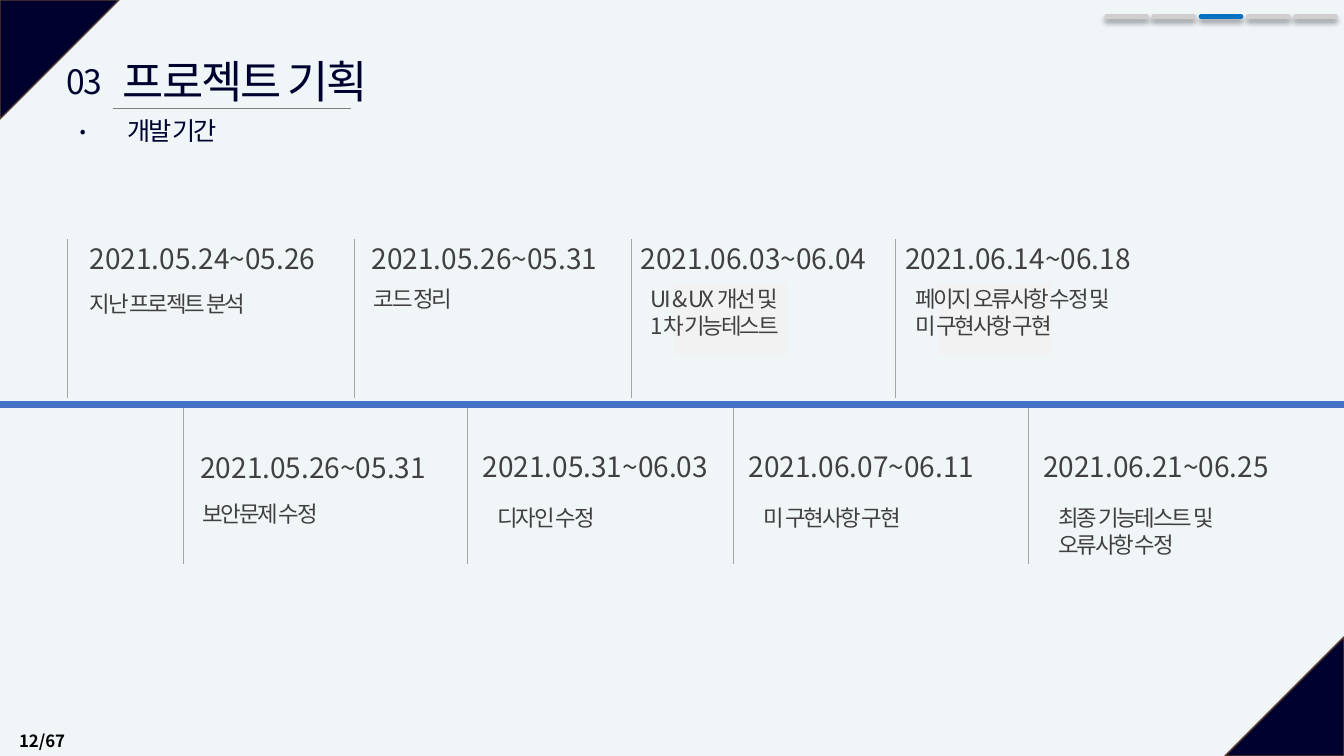
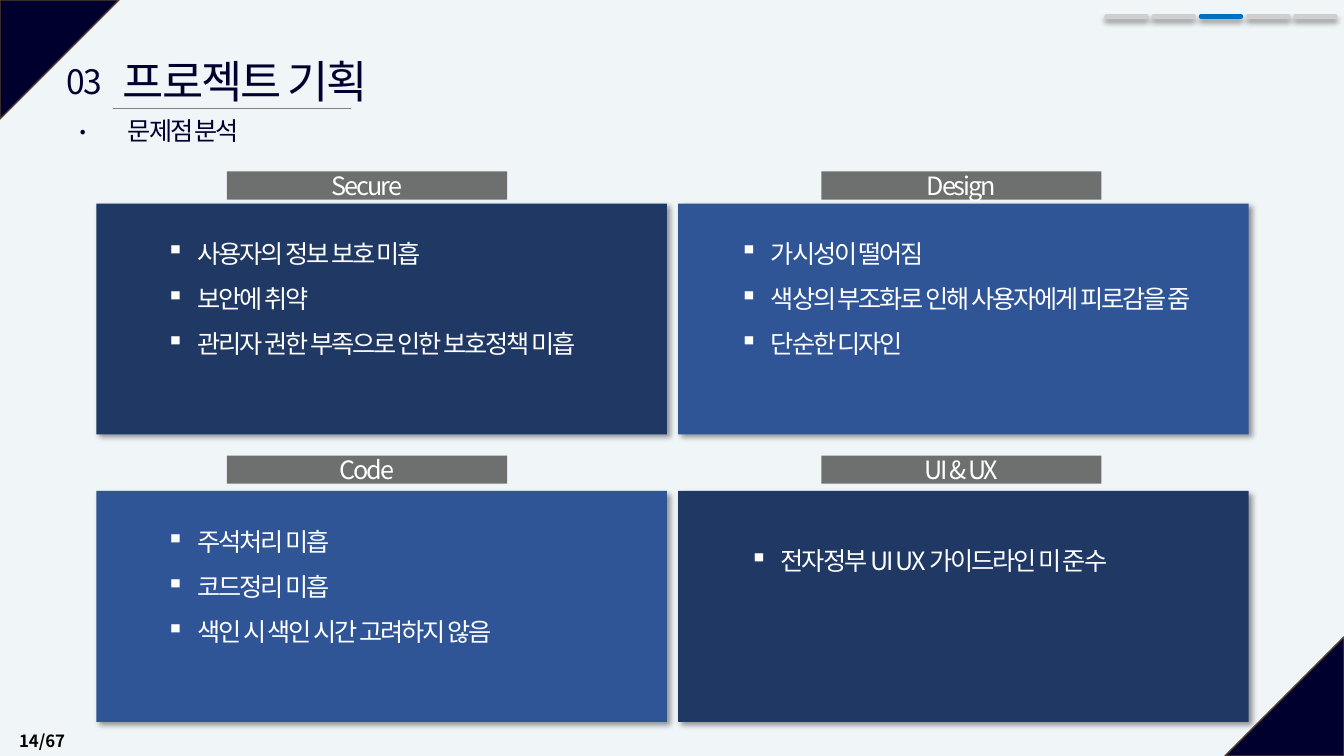
import pptx
import pptx.util
import pptx.dml.color
import pptx.enum.shapes
import pptx.enum.text
import pptx.oxml
import pptx.oxml.ns

Cm = pptx.util.Cm
Pt = pptx.util.Pt
SHAPE = pptx.enum.shapes.MSO_SHAPE
ALIGN = pptx.enum.text.PP_ALIGN
WIDTH, HEIGHT = 33.87, 19.05


def rgb(value):
    return pptx.dml.color.RGBColor.from_string(value)


def sub(parent, tag, **attrs):
    el = pptx.oxml.parse_xml(f"<{tag} {pptx.oxml.ns.nsdecls('a')}/>")
    for key, value in attrs.items():
        el.set(key, str(value))
    parent.append(el)
    return el


class Deck:
    FONT = "Noto Sans CJK KR"
    BACKGROUND = "F0F5F8"
    NAVY = "00002F"
    BROWN = "5B3F33"
    TEXT = "404040"
    WHITE = "FFFFFF"
    TICK = "A5A5A5"
    TIGHT = -1.5

    def __init__(self):
        self.prs = pptx.Presentation()
        self.prs.slide_width, self.prs.slide_height = Cm(WIDTH), Cm(HEIGHT)
        self.s = None

    def new_slide(self, page, subtitle, subtitle_width):
        self.s = self.prs.slides.add_slide(self.prs.slide_layouts[6])
        fill = self.s.background.fill
        fill.solid()
        fill.fore_color.rgb = rgb(self.BACKGROUND)
        self.corner(0, 0, 90)
        self.corner(WIDTH - 3, HEIGHT - 3, 270)
        self.text(0.23, 18.03, 7.62, 1.02, [page], 12, "000000",
                  bold=True, spacing=1.5, grow=False)
        self.line(2.84, 2.74, 8.84, 2.74, "808080", 0.5)
        for x, y, w, h, words, size in (
            (2.49, 1.22, 7.39, 1.63, "프로젝트 기획", 32),
            (1.37, 1.4, 1.47, 1.27, "03.", 24),
            (2.81, 2.79, subtitle_width, 1.02, subtitle, 18),
        ):
            self.text(x, y, w, h, [words], size, self.NAVY,
                      track=self.TIGHT, align=ALIGN.CENTER)

    def corner(self, x, y, rotation):
        sp = self.shape(SHAPE.ISOSCELES_TRIANGLE, x, y, 3, 3, self.NAVY)
        sp.adjustments[0] = 0
        sp.rotation = rotation
        sp.line.color.rgb = rgb(self.BROWN)
        sp.line.width = Pt(1)

    def shape(self, kind, x, y, w, h, color, alpha=None, shadow=False):
        sp = self.s.shapes.add_shape(kind, Cm(x), Cm(y), Cm(w), Cm(h))
        sp.fill.solid()
        sp.fill.fore_color.rgb = rgb(color)
        if alpha:
            clr = sp._element.spPr.find(".//" + pptx.oxml.ns.qn("a:srgbClr"))
            sub(clr, "a:alpha", val=alpha * 1000)
        sp.line.fill.background()
        sp.shadow.inherit = False
        if shadow:
            effects = sp._element.spPr.find(pptx.oxml.ns.qn("a:effectLst"))
            self.cast_shadow(effects, 45)
        return sp

    def cast_shadow(self, effects, angle):
        outer = sub(effects, "a:outerShdw", blurRad=Pt(4), dist=Pt(3),
                    dir=angle * 60000, algn="tl", rotWithShape=0)
        clr = sub(outer, "a:srgbClr", val="000000")
        sub(clr, "a:alpha", val=40000)

    def line(self, x1, y1, x2, y2, color, width, shadow=False, cap=None):
        cx = self.s.shapes.add_connector(
            pptx.enum.shapes.MSO_CONNECTOR.STRAIGHT,
            Cm(x1), Cm(y1), Cm(x2), Cm(y2))
        cx.line.color.rgb = rgb(color)
        cx.line.width = Pt(width)
        spPr = cx._element.spPr
        if cap:
            spPr.find(pptx.oxml.ns.qn("a:ln")).set("cap", cap)
        effects = sub(spPr, "a:effectLst")
        if shadow:
            self.cast_shadow(effects, 90)

    def fill_text(self, tf, lines, size, color, bold=False, track=None,
                  align=ALIGN.LEFT, spacing=None, bullet=None):
        tf.text = "\n".join(lines)
        for p in tf.paragraphs:
            p.alignment = align
            if spacing:
                p.line_spacing = spacing
            if bullet:
                pPr = p._p.get_or_add_pPr()
                pPr.set("marL", str(Cm(0.79)))
                pPr.set("indent", str(-Cm(0.79)))
                sub(pPr, "a:buChar", char=bullet)
            for r in p.runs:
                r.font.size = Pt(size)
                r.font.bold = bold
                r.font.color.rgb = rgb(color)
                r.font.name = self.FONT
                rPr = r._r.get_or_add_rPr()
                sub(rPr, "a:ea", typeface=self.FONT)
                if track:
                    rPr.set("spc", str(int(track * 100)))

    def text(self, x, y, w, h, lines, size, color, grow=True, **style):
        tf = self.s.shapes.add_textbox(Cm(x), Cm(y), Cm(w), Cm(h)).text_frame
        self.fill_text(tf, lines, size, color, **style)
        tf.word_wrap = not grow
        if grow:
            tf.auto_size = pptx.enum.text.MSO_AUTO_SIZE.SHAPE_TO_FIT_TEXT

    def progress(self, current=2):
        for i in range(5):
            x = 27.89 + i * 1.19
            color = "0070C0" if i == current else "D0CECE"
            self.line(x, 0.41, x + 1, 0.41, color, 3.5, shadow=True, cap="rnd")

    def milestone(self, tick, top, bottom, date_at, date, note_at, width, note,
                  panel=False):
        self.line(tick, top, tick, bottom, self.TICK, 0.5)
        self.text(*date_at, 6.32, 1.12, [date], 20, self.TEXT)
        x, y = note_at
        if panel:
            self.shape(SHAPE.RECTANGLE, x + 0.84, y + 0.08, 2.84, 1.78, "F2F2F2")
        self.text(x, y, width, 0.25 + 0.69 * len(note), note, 16, self.TEXT,
                  track=self.TIGHT)

    def card(self, x, y, color, label_at, label, list_at, width, items):
        self.shape(SHAPE.RECTANGLE, x, y, 14.38, 5.82, color, shadow=True)
        self.text(*list_at, width, 0.25 + 1.12 * len(items), items, 18,
                  self.WHITE, track=self.TIGHT, spacing=1.5, bullet="▪")
        sp = self.shape(SHAPE.RECTANGLE, *label_at, 7.06, 0.71, "464545", alpha=76)
        tf = sp.text_frame
        tf.vertical_anchor = pptx.enum.text.MSO_ANCHOR.MIDDLE
        self.fill_text(tf, [label], 18, self.WHITE, track=self.TIGHT,
                       align=ALIGN.CENTER)


def schedule(deck):
    deck.new_slide("12/67", "개발 기간", 3.05)
    above, below = (6.02, 10.03), (10.13, 14.2)
    for tick, span, *rest in (
        (1.7, above, (2.01, 5.97), "2021.05.24~05.26",
         (2.01, 7.19), 4.83, ["지난 프로젝트 분석"]),
        (8.92, above, (9.12, 5.97), "2021.05.26~05.31",
         (9.17, 7.06), 2.67, ["코드 정리"]),
        (15.9, above, (15.9, 5.97), "2021.06.03~06.04",
         (16.15, 7.06), 3.96, ["UI & UX 개선 및", "1차 기능테스트"], True),
        (22.56, above, (22.56, 5.97), "2021.06.14~06.18",
         (22.81, 7.06), 5.94, ["페이지 오류사항 수정 및", "미 구현사항 구현"], True),
        (4.62, below, (4.8, 11.23), "2021.05.26~05.31",
         (4.85, 12.47), 3.71, ["보안문제 수정"]),
        (11.79, below, (11.91, 11.2), "2021.05.31~06.03",
         (12.29, 12.57), 3.18, ["디자인 수정"]),
        (18.49, below, (18.62, 11.2), "2021.06.07~06.11",
         (19, 12.57), 4.32, ["미 구현사항 구현"]),
        (25.91, below, (26.04, 11.2), "2021.06.21~06.25",
         (26.42, 12.57), 4.9, ["최종 기능테스트 및", "오류사항 수정"]),
    ):
        deck.milestone(tick, *span, *rest)
    deck.line(0, 10.19, WIDTH, 10.19, "4472C4", 4.5)
    deck.progress()


def problems(deck):
    deck.new_slide("14/67", "문제점 분석", 3.63)
    left, right, top, bottom = 2.43, 17.09, 5.13, 12.37
    dark, light = "203864", "2F5597"
    for card in (
        (left, top, dark, (5.72, 4.32), "Secure", (3.94, 5.49), 11.58,
         ["사용자의 정보 보호 미흡", "보안에 취약",
          "관리자 권한 부족으로 인한 보호정책 미흡"]),
        (right, top, light, (20.7, 4.32), "Design", (18.39, 5.49), 12.73,
         ["가시성이 떨어짐", "색상의 부조화로 인해 사용자에게 피로감을 줌",
          "단순한 디자인"]),
        (left, bottom, light, (5.72, 11.48), "Code", (3.94, 12.75), 9.27,
         ["주석처리 미흡", "코드정리 미흡", "색인 시 색인 시간 고려하지 않음"]),
        (right, bottom, dark, (20.7, 11.48), "UI & UX", (18.64, 13.23), 9.93,
         ["전자정부 UI UX 가이드라인 미 준수"]),
    ):
        deck.card(*card)
    deck.progress()


def main():
    deck = Deck()
    schedule(deck)
    problems(deck)
    deck.prs.save("out.pptx")


if __name__ == "__main__":
    main()
